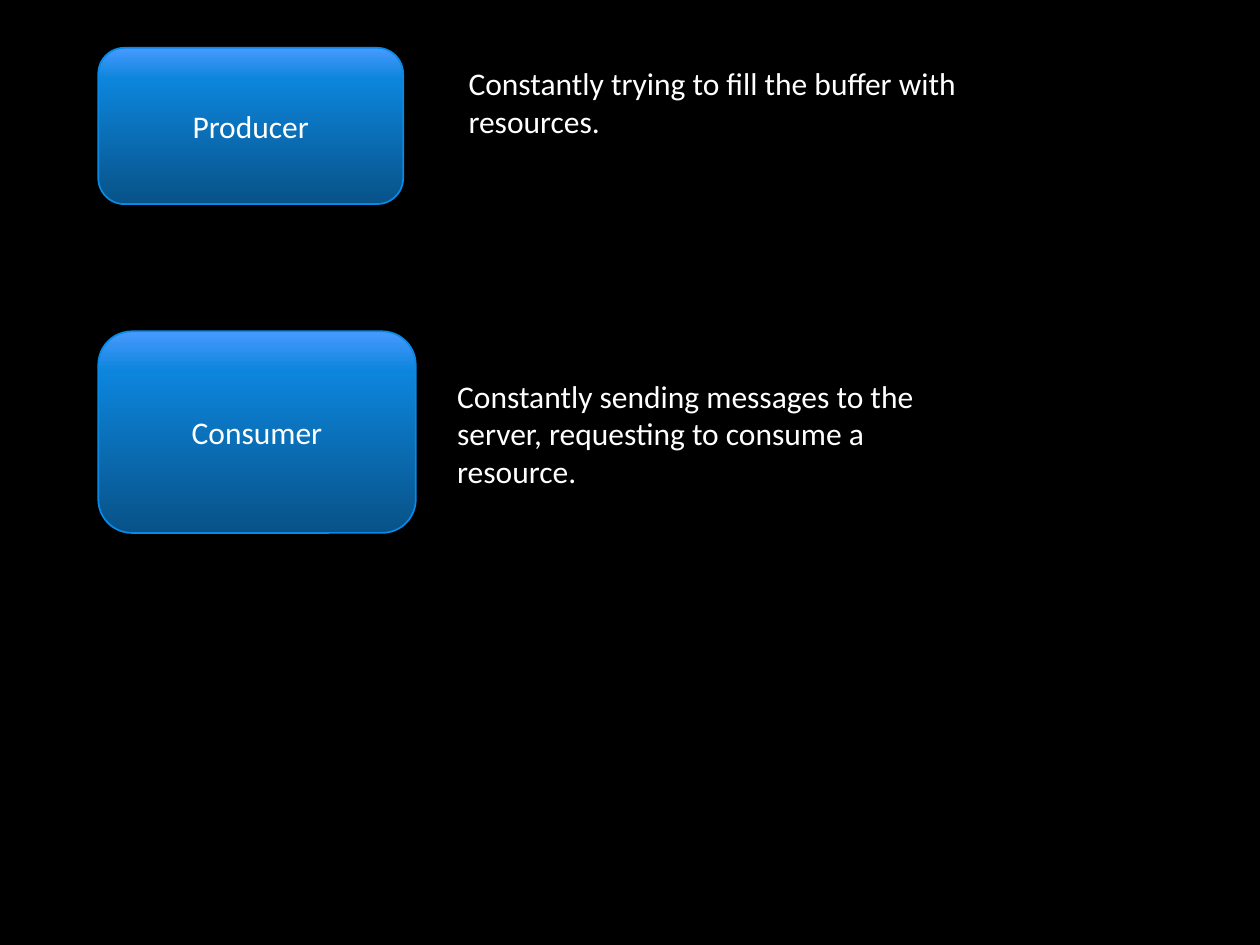
from copy import deepcopy
from dataclasses import dataclass

from pptx import Presentation
from pptx.dml.color import RGBColor as RGB
from pptx.enum.shapes import MSO_SHAPE as Shape
from pptx.enum.text import MSO_ANCHOR as Anchor, MSO_AUTO_SIZE as AutoSize, PP_ALIGN as Align
from pptx.oxml.ns import qn
from pptx.slide import Slide
from pptx.util import Inches, Pt


@dataclass(frozen=True)
class Theme:
    background: RGB = RGB.from_string("000000")
    text: RGB = RGB.from_string("FFFFFF")
    outline: RGB = RGB.from_string("0789E6")
    gradient: tuple = ((0, "085288"), (0.8, "0C85DC"), (1, "489AFF"))
    font: str = "Calibri"
    size: int = 18
    line_width: int = 1


@dataclass(frozen=True)
class Box:
    left: float
    top: float
    width: float
    height: float

    def lengths(self) -> list:
        return [Inches(v) for v in (self.left, self.top, self.width, self.height)]


@dataclass(frozen=True)
class Role:
    name: str
    box: Box
    description: str
    description_box: Box


THEME = Theme()
ROLES = (
    Role("Producer", Box(0.78, 0.38, 2.42, 1.24),
         "Constantly trying to fill the buffer with resources.",
         Box(3.62, 0.46, 4.51, 0.71)),
    Role("Consumer", Box(0.78, 2.63, 2.52, 1.6),
         "Constantly sending messages to the server, requesting to consume a resource.",
         Box(3.53, 2.94, 4.09, 1.01)),
)


def write(tf, text: str, align: Align, **frame_format) -> None:
    for name, value in {"word_wrap": True, **frame_format}.items():
        setattr(tf, name, value)
    p = tf.paragraphs[0]
    p.alignment = align
    r = p.add_run()
    r.text = text
    font_format = {"name": THEME.font, "size": Pt(THEME.size)}
    for name, value in font_format.items():
        setattr(r.font, name, value)
    r.font.color.rgb = THEME.text


def fill_gradient(fill, sp) -> None:
    """Fill from bottom to top with the theme's stops."""
    fill.gradient()
    fill.gradient_angle = 90
    stop_list = sp._element.spPr.find(qn("a:gradFill")).find(qn("a:gsLst"))
    while len(stop_list) < len(THEME.gradient):
        stop_list.append(deepcopy(stop_list[-1]))
    for stop, (position, color) in zip(fill.gradient_stops, THEME.gradient):
        stop.position = position
        stop.color.rgb = RGB.from_string(color)


def draw_role(slide: Slide, role: Role) -> None:
    sp = slide.shapes.add_shape(Shape.ROUNDED_RECTANGLE, *role.box.lengths())
    sp.shadow.inherit = False
    fill_gradient(sp.fill, sp)
    sp.line.color.rgb = THEME.outline
    sp.line.width = Pt(THEME.line_width)
    write(sp.text_frame, role.name, Align.CENTER, vertical_anchor=Anchor.MIDDLE)

    note = slide.shapes.add_textbox(*role.description_box.lengths())
    write(note.text_frame, role.description, Align.LEFT,
          auto_size=AutoSize.SHAPE_TO_FIT_TEXT)


def main() -> None:
    prs = Presentation()
    prs.slide_width, prs.slide_height = Inches(10), Inches(7.5)
    slide = prs.slides.add_slide(prs.slide_layouts[6])
    background = slide.background.fill
    background.solid()
    background.fore_color.rgb = THEME.background
    for role in ROLES:
        draw_role(slide, role)
    prs.save("out.pptx")


if __name__ == "__main__":
    main()
